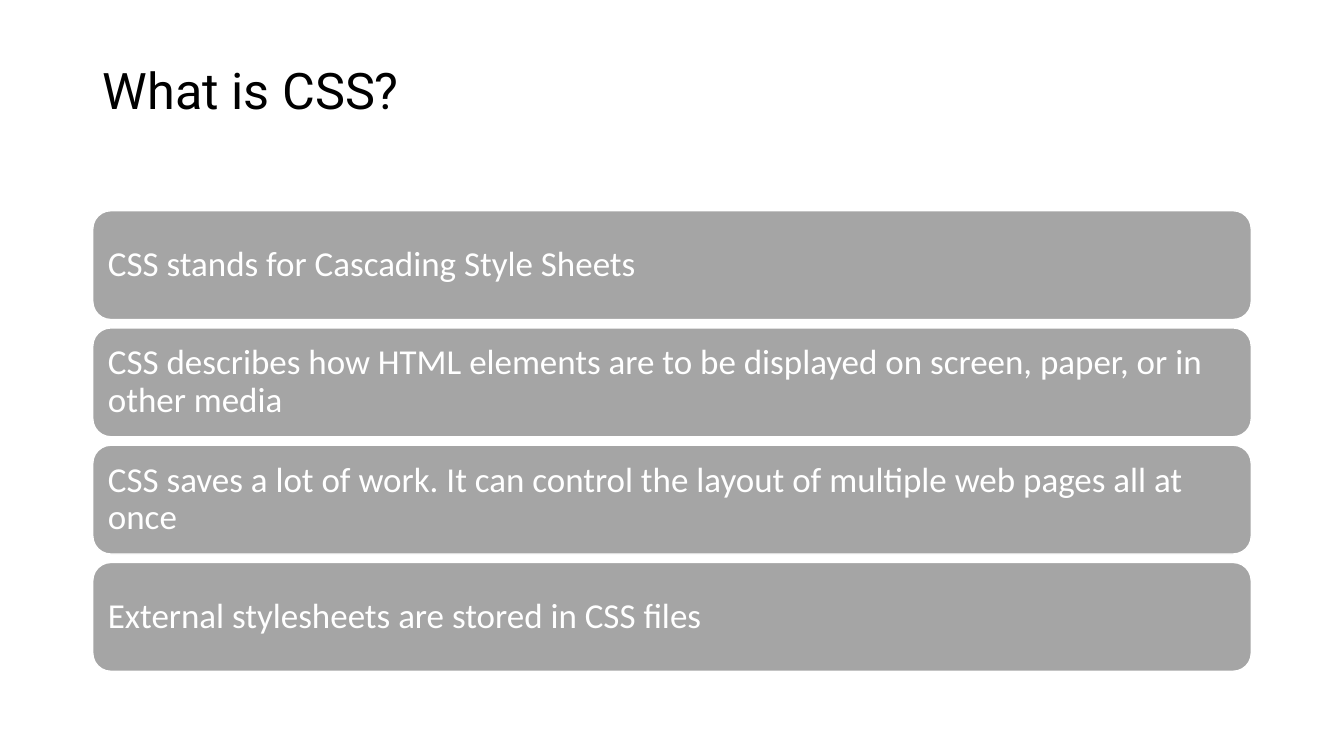
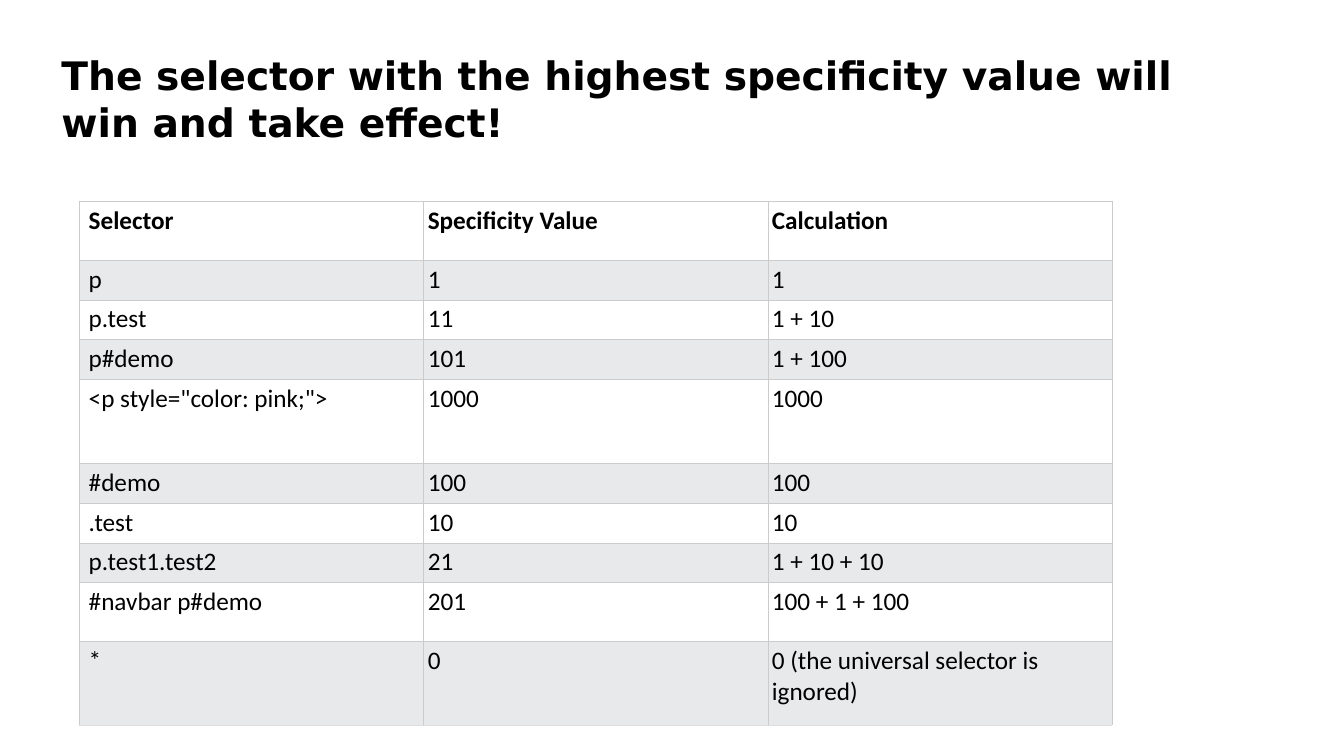
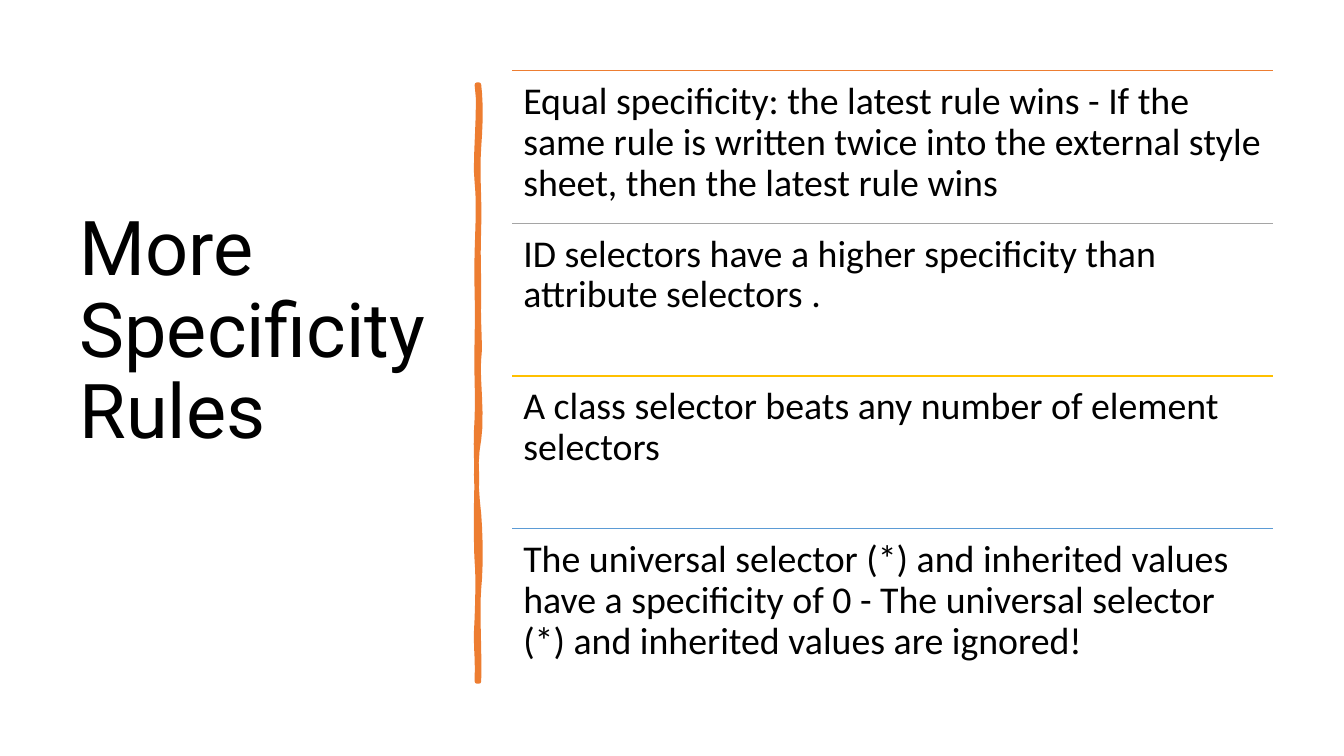
import collections

import lxml.etree
import pptx
import pptx.dml.color
import pptx.enum.shapes
import pptx.enum.text
import pptx.oxml.ns
import pptx.util

Inches = pptx.util.Inches
Pt = pptx.util.Pt
RGBColor = pptx.dml.color.RGBColor
Anchor = pptx.enum.text.MSO_ANCHOR
Box = collections.namedtuple("Box", "left top width height")

BLACK = RGBColor(0x00, 0x00, 0x00)
WHITE = RGBColor(0xFF, 0xFF, 0xFF)
GRAY = RGBColor(0xA5, 0xA5, 0xA5)
ORANGE = RGBColor(0xED, 0x7D, 0x31)
GOLD = RGBColor(0xFF, 0xC0, 0x00)
BLUE = RGBColor(0x5B, 0x9B, 0xD5)
BAND = RGBColor(0xE7, 0xE9, 0xEB)
GRID = RGBColor(0xCC, 0xCC, 0xCC)
GRID_END = RGBColor(0xDD, 0xDD, 0xDD)

BODY_FONT = "Calibri"
TITLE_FONT = "Roboto"
ALERT_FONT = "DejaVu Sans"

CSS_FACTS = [
    "CSS stands for Cascading Style Sheets",
    "CSS describes how HTML elements are to be displayed on screen, paper, or in other media",
    "CSS saves a lot of work. It can control the layout of multiple web pages all at once",
    "External stylesheets are stored in CSS files",
]

SPECIFICITY_ROWS = [
    (0.58, "Selector", "Specificity Value", "Calculation"),
    (0.34, "p", "1", "1"),
    (0.34, "p.test", "11", "1 + 10"),
    (0.34, "p#demo", "101", "1 + 100"),
    (0.83, '<p style="color: pink;">', "1000", "1000"),
    (0.34, "#demo", "100", "100"),
    (0.34, ".test", "10", "10"),
    (0.34, "p.test1.test2", "21", "1 + 10 + 10"),
    (0.58, "#navbar p#demo", "201", "100 + 1 + 100"),
    (0.83, "*", "0", "0 (the universal selector is ignored)"),
]

RULES = [
    (ORANGE, "Equal specificity: the latest rule wins - If the same rule is written twice "
             "into the external style sheet, then the latest rule wins"),
    (GRAY, "ID selectors have a higher specificity than attribute selectors ."),
    (GOLD, "A class selector beats any number of element selectors"),
    (BLUE, "The universal selector (*) and inherited values have a specificity of 0 - "
           "The universal selector (*) and inherited values are ignored!"),
]

BRUSH_START = (0.04, 0)
BRUSH_CURVES = [
    ((0.06, 0.18), (0.06, 0.35), (0.04, 0.62)),
    ((0.02, 0.89), (0.05, 1.11), (0.04, 1.42)),
    ((0.03, 1.73), (0.04, 1.78), (0.04, 2.1)),
    ((0.03, 2.41), (0.06, 2.58), (0.04, 2.72)),
    ((0.02, 2.86), (0.08, 3.3), (0.04, 3.52)),
    ((0, 3.73), (0.01, 4), (0.04, 4.26)),
    ((0.06, 4.52), (0.06, 4.8), (0.04, 5)),
    ((0.02, 5.19), (0.05, 5.66), (0.04, 5.92)),
    ((0.03, 5.92), (0.02, 5.92), (0.02, 5.92)),
    ((0.03, 5.62), (0, 5.6), (0.02, 5.29)),
    ((0.03, 4.99), (0.03, 4.86), (0.02, 4.73)),
    ((0.01, 4.6), (0.01, 4.11), (0.02, 3.93)),
    ((0.02, 3.75), (0, 3.61), (0.02, 3.31)),
    ((0.03, 3.02), (0.01, 2.89), (0.02, 2.51)),
    ((0.03, 2.14), (0.01, 1.97), (0.02, 1.66)),
    ((0.03, 1.34), (0.04, 1.16), (0.02, 0.97)),
    ((-0.01, 0.79), (0.06, 0.2), (0.02, 0)),
]


def write_text(frame, text, size, color, font=BODY_FONT, bold=False, spacing=0.9):
    frame.word_wrap = True
    paragraph = frame.paragraphs[0]
    paragraph.alignment = pptx.enum.text.PP_ALIGN.LEFT
    paragraph.line_spacing = spacing
    run = paragraph.add_run()
    run.text = text
    run.font.name = font
    run.font.size = Pt(size)
    run.font.bold = bold
    run.font.color.rgb = color


def set_margins(target, left, top, right, bottom):
    target.margin_left = Inches(left)
    target.margin_top = Inches(top)
    target.margin_right = Inches(right)
    target.margin_bottom = Inches(bottom)


def add_titled_slide(presentation, box, text, size, font=TITLE_FONT, bold=False,
                     spacing=0.9, space_below=0.05):
    slide = presentation.slides.add_slide(presentation.slide_layouts[5])
    title = slide.shapes.title
    title.left, title.top, title.width, title.height = map(Inches, box)
    frame = title.text_frame
    frame.auto_size = pptx.enum.text.MSO_AUTO_SIZE.NONE
    frame.vertical_anchor = Anchor.MIDDLE
    set_margins(frame, 0.1, 0.05, 0.1, space_below)
    write_text(frame, text, size, BLACK, font, bold, spacing)
    return slide


def add_cards(slide, box, texts, card_height):
    pitch = (box.height - card_height) / (len(texts) - 1)
    for index, text in enumerate(texts):
        card = slide.shapes.add_shape(
            pptx.enum.shapes.MSO_SHAPE.ROUNDED_RECTANGLE,
            Inches(box.left), Inches(box.top + index * pitch),
            Inches(box.width), Inches(card_height))
        card.shadow.inherit = False
        card.fill.solid()
        card.fill.fore_color.rgb = GRAY
        card.line.color.rgb = WHITE
        card.line.width = Pt(1)
        card.text_frame.vertical_anchor = Anchor.MIDDLE
        set_margins(card.text_frame, 0.1, 0.1, 0.1, 0.1)
        write_text(card.text_frame, text, 25, WHITE)


def set_borders(cell, color, bottom_color):
    properties = cell._tc.get_or_add_tcPr()
    for index, side in enumerate(("lnL", "lnR", "lnT", "lnB")):
        line = lxml.etree.Element(pptx.oxml.ns.qn("a:" + side), w=str(Pt(0.5)))
        fill = lxml.etree.SubElement(line, pptx.oxml.ns.qn("a:solidFill"))
        lxml.etree.SubElement(fill, pptx.oxml.ns.qn("a:srgbClr"),
                              val=str(bottom_color if side == "lnB" else color))
        properties.insert(index, line)


def add_specificity_table(slide, box, rows):
    column_count = len(rows[0]) - 1
    table = slide.shapes.add_table(len(rows), column_count, *map(Inches, box)).table
    table.first_row = False
    table.horz_banding = False
    for column in table.columns:
        column.width = Inches(box.width / column_count)
    for row_index, (height, *texts) in enumerate(rows):
        table.rows[row_index].height = Inches(height)
        is_last = row_index == len(rows) - 1
        for column_index, text in enumerate(texts):
            cell = table.cell(row_index, column_index)
            set_margins(cell, 0.04 if column_index else 0.09, 0.04, 0.04, 0.05)
            cell.fill.solid()
            cell.fill.fore_color.rgb = BAND if row_index % 2 else WHITE
            set_borders(cell, GRID, GRID_END if is_last else GRID)
            write_text(cell.text_frame, text, 18, BLACK, bold=row_index == 0, spacing=1.0)


def curve_points(start, curves, steps=6):
    points = []
    for first, second, end in curves:
        for step in range(1, steps + 1):
            t = step / steps
            weights = ((1 - t) ** 3, 3 * t * (1 - t) ** 2, 3 * t * t * (1 - t), t ** 3)
            anchors = (start, first, second, end)
            points.append(tuple(sum(weight * anchor[axis] for weight, anchor
                                    in zip(weights, anchors)) for axis in (0, 1)))
        start = end
    return points


def add_brush_stroke(slide, left, top):
    def place(point):
        return Inches(left + point[0]), Inches(top + point[1])

    builder = slide.shapes.build_freeform(*place(BRUSH_START))
    builder.add_line_segments([place(point) for point in curve_points(BRUSH_START, BRUSH_CURVES)])
    stroke = builder.convert_to_shape()
    stroke.shadow.inherit = False
    stroke.fill.solid()
    stroke.fill.fore_color.rgb = ORANGE
    stroke.line.color.rgb = ORANGE
    stroke.line.width = Pt(3.25)


def add_rule_list(slide, box, rules):
    row_height = box.height / len(rules)
    for index, (color, text) in enumerate(rules):
        top = Inches(box.top + index * row_height)
        divider = slide.shapes.add_connector(
            pptx.enum.shapes.MSO_CONNECTOR.STRAIGHT,
            Inches(box.left), top, Inches(box.left + box.width), top)
        divider.line.color.rgb = color
        divider.line.width = Pt(1)
        lxml.etree.SubElement(divider._element.spPr, pptx.oxml.ns.qn("a:effectLst"))
        text_box = slide.shapes.add_textbox(
            Inches(box.left), top, Inches(box.width), Inches(row_height))
        set_margins(text_box.text_frame, 0.11, 0.11, 0.11, 0.11)
        write_text(text_box.text_frame, text, 27, BLACK)


def build_css_slide(presentation):
    slide = add_titled_slide(presentation, Box(0.92, 0.61, 11.5, 1.24), "What is CSS?", 36,
                             space_below=0.66)
    add_cards(slide, Box(0.92, 2.09, 11.49, 4.57), CSS_FACTS, 1.08)


def build_specificity_slide(presentation):
    slide = add_titled_slide(
        presentation, Box(0.51, 0.46, 11.89, 1.04),
        "The selector with the highest specificity value will win and take effect!",
        28, ALERT_FONT, bold=True, spacing=1.0)
    slide.shapes.title.fill.solid()
    slide.shapes.title.fill.fore_color.rgb = WHITE
    add_specificity_table(slide, Box(0.79, 2, 10.24, 5.17), SPECIFICITY_ROWS)


def build_rules_slide(presentation):
    slide = add_titled_slide(presentation, Box(0.69, 0.7, 3.74, 6.11), "More Specificity Rules",
                             54, space_below=0.96)
    add_brush_stroke(slide, 4.71, 0.84)
    add_rule_list(slide, Box(5.08, 0.7, 7.55, 6.06), RULES)


def main():
    presentation = pptx.Presentation()
    presentation.slide_width = Inches(13.33)
    presentation.slide_height = Inches(7.5)
    build_css_slide(presentation)
    build_specificity_slide(presentation)
    build_rules_slide(presentation)
    presentation.save("out.pptx")


if __name__ == "__main__":
    main()
